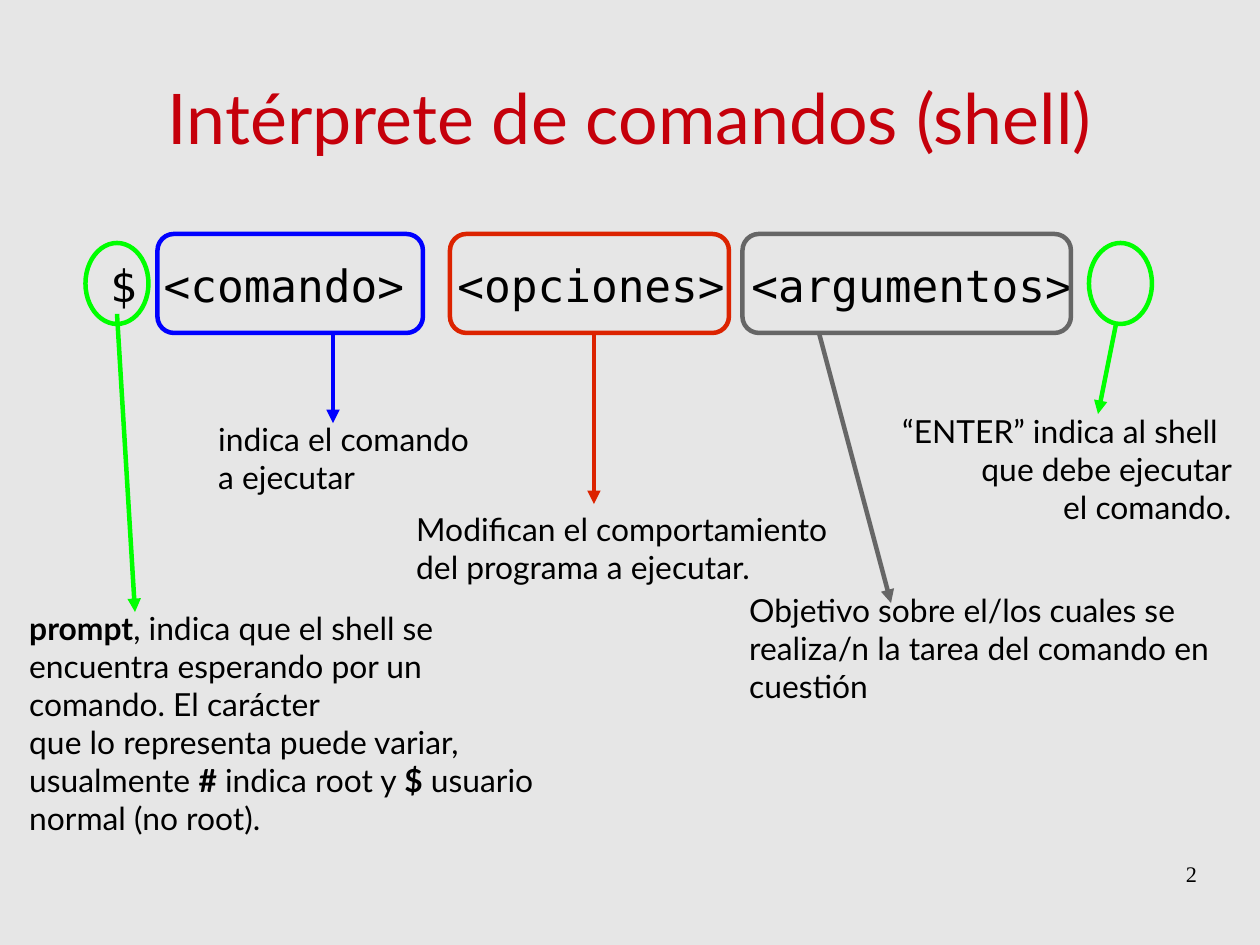
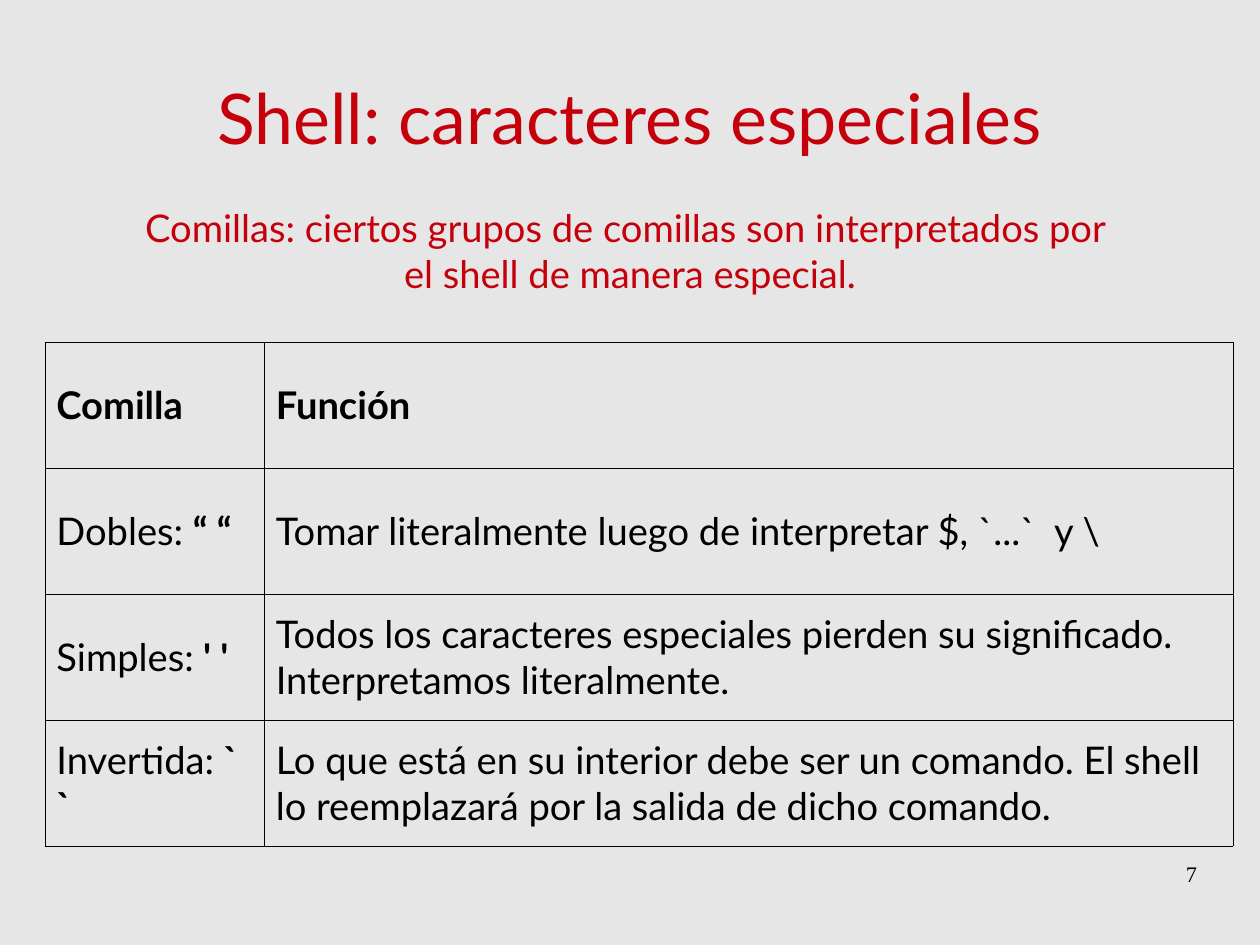
from pptx import Presentation
from pptx.dml.color import RGBColor
from pptx.enum.shapes import MSO_CONNECTOR, MSO_SHAPE
from pptx.enum.text import MSO_ANCHOR, MSO_AUTO_SIZE, PP_ALIGN
from pptx.oxml import parse_xml
from pptx.oxml.ns import nsdecls
from pptx.util import Pt

PX = 9000  # 40 px to the centimetre
LINE = MSO_CONNECTOR.STRAIGHT
OVAL = MSO_SHAPE.OVAL
ROUND = MSO_SHAPE.ROUNDED_RECTANGLE
MIDDLE = MSO_ANCHOR.MIDDLE
NO_FIT = MSO_AUTO_SIZE.NONE
LEFT, CENTER, RIGHT = PP_ALIGN.LEFT, PP_ALIGN.CENTER, PP_ALIGN.RIGHT

COLORS = {
    "back": "E6E6E6",
    "title": "C5000B",
    "text": "000000",
    "green": "00FF00",
    "blue": "0000FF",
    "red": "DC2300",
    "gray": "666666",
}
SANS, MONO, SERIF = "Lato", "DejaVu Sans Mono", "Times New Roman"
STROKE = 2.83


def px(*nums):
    return [n * PX for n in nums]


def rgb(name):
    return RGBColor.from_string(COLORS[name])


# Text: "\n" starts a paragraph, "\v" breaks a line, "**" toggles bold
def write(frame, text, size, color="text", font=SANS, aligns=(LEFT,)):
    frame.word_wrap = True
    for i, line in enumerate(text.split("\n")):
        para = frame.paragraphs[0] if i == 0 else frame.add_paragraph()
        para.alignment = aligns[min(i, len(aligns) - 1)]
        for j, part in enumerate(line.split("**")):
            for k, piece in enumerate(part.split("\v")):
                if k:
                    para.add_line_break()
                if piece:
                    run = para.add_run()
                    run.text = piece
                    run.font.size = Pt(size)
                    run.font.name = font
                    run.font.bold = j % 2 == 1
                    run.font.color.rgb = rgb(color)


def clear(frame):
    frame.margin_left = frame.margin_right = 0
    frame.margin_top = frame.margin_bottom = 0


def label(slide, at, text, size=20, **style):
    frame = slide.shapes.add_textbox(*px(*at)).text_frame
    write(frame, text, size, **style)
    return frame


# Outlines and arrows
def ring(slide, kind, at, color):
    shape = slide.shapes.add_shape(kind, *px(*at))
    shape.shadow.inherit = False
    shape.fill.background()
    shape.line.color.rgb = rgb(color)
    shape.line.width = Pt(STROKE)


def arrow(slide, ends, color):
    line = slide.shapes.add_connector(LINE, *px(*ends))
    line.line.color.rgb = rgb(color)
    line.line.width = Pt(STROKE)
    line.line._get_or_add_ln().append(
        parse_xml(f'<a:tailEnd {nsdecls("a")} type="triangle"/>'))
    line._element.spPr.append(parse_xml(f'<a:effectLst {nsdecls("a")}/>'))


# Table
def border(cell):
    props = cell._tc.get_or_add_tcPr()
    for side in "LRTB":
        props.append(parse_xml(
            f'<a:ln{side} {nsdecls("a")} w="{Pt(0.57)}"><a:solidFill>'
            f'<a:srgbClr val="{COLORS["text"]}"/></a:solidFill></a:ln{side}>'))


def grid(slide, at, widths, rows):
    frame = slide.shapes.add_table(len(rows), len(widths), *px(*at))
    table = frame.table
    table.first_row = table.horz_banding = False
    for col, width in zip(table.columns, widths):
        col.width = width * PX
    for r, row in enumerate(rows):
        for c, text in enumerate(row):
            cell = table.cell(r, c)
            border(cell)
            cell.fill.background()
            cell.vertical_anchor = MIDDLE
            write(cell.text_frame, text, 24)


# Shared title and page number
def page(prs, title, num):
    slide = prs.slides.add_slide(prs.slide_layouts[5])
    head = slide.shapes.title
    head.left, head.top, head.width, head.height = px(56, 34, 1008, 140)
    frame = head.text_frame
    frame.auto_size = NO_FIT
    frame.vertical_anchor = MIDDLE
    clear(frame)
    write(frame, title, 44, "title", aligns=(CENTER,))
    clear(label(slide, (803, 765, 261, 58), num, 14, font=SERIF,
                aligns=(RIGHT,)))
    return slide


def syntax(prs):
    slide = page(prs, "Intérprete de comandos (shell)", "2")
    label(slide, (88, 224, 904, 56), "$ <comando>  <opciones> <argumentos>",
          28, font=MONO)

    # Outlined parts of the command
    for x in (76, 968):
        ring(slide, OVAL, (x, 216, 56, 72), "green")
    for x, width, color in ((140, 236, "blue"), (400, 248, "red"),
                            (660, 292, "gray")):
        ring(slide, ROUND, (x, 208, width, 88), color)

    # Explanations
    label(slide, (16, 536, 472, 196),
          "**prompt**, indica que el shell se encuentra esperando por un "
          "comando. El carácter\nque lo representa puede variar, usualmente "
          "**#** indica root y **$** usuario normal (no root).")
    label(slide, (184, 368, 472, 72), "indica el comando \va ejecutar")
    label(slide, (360, 448, 472, 72),
          "Modifican el comportamiento \vdel programa a ejecutar.")
    label(slide, (656, 520, 472, 103),
          "Objetivo sobre el/los cuales se realiza/n la tarea del comando "
          "en cuestión")
    label(slide, (792, 361, 320, 103),
          "“ENTER” indica al shell\nque debe ejecutar \vel comando. ",
          aligns=(LEFT, RIGHT))

    for ends, color in (((728, 296, 792, 536), "gray"),
                        ((528, 296, 528, 448), "red"),
                        ((296, 296, 296, 376), "blue"),
                        ((104, 279, 120, 544), "green"),
                        ((992, 288, 976, 368), "green")):
        arrow(slide, ends, color)


def quotes(prs):
    slide = page(prs, "Shell: caracteres especiales", "7")
    label(slide, (110, 177, 900, 84),
          "Comillas: ciertos grupos de comillas son interpretados por  "
          "el shell de manera especial.", 24, color="title",
          aligns=(CENTER,))
    grid(slide, (40, 304, 1056, 448), (195, 861), (
        ("**Comilla**", "**Función**"),
        ("Dobles: **“ “**",
         "Tomar literalmente luego de interpretar $, `...`  y \\"),
        ("Simples:** ' '**",
         "Todos los caracteres especiales pierden su significado. "
         "Interpretamos literalmente."),
        ("Invertida:** ` `**",
         "Lo que está en su interior debe ser un comando. El shell lo "
         "reemplazará por la salida de dicho comando."),
    ))


def main():
    prs = Presentation()
    prs.slide_width, prs.slide_height = px(1120, 840)
    fill = prs.slide_master.background.fill
    fill.solid()
    fill.fore_color.rgb = rgb("back")
    syntax(prs)
    quotes(prs)
    prs.save("out.pptx")


if __name__ == "__main__":
    main()
